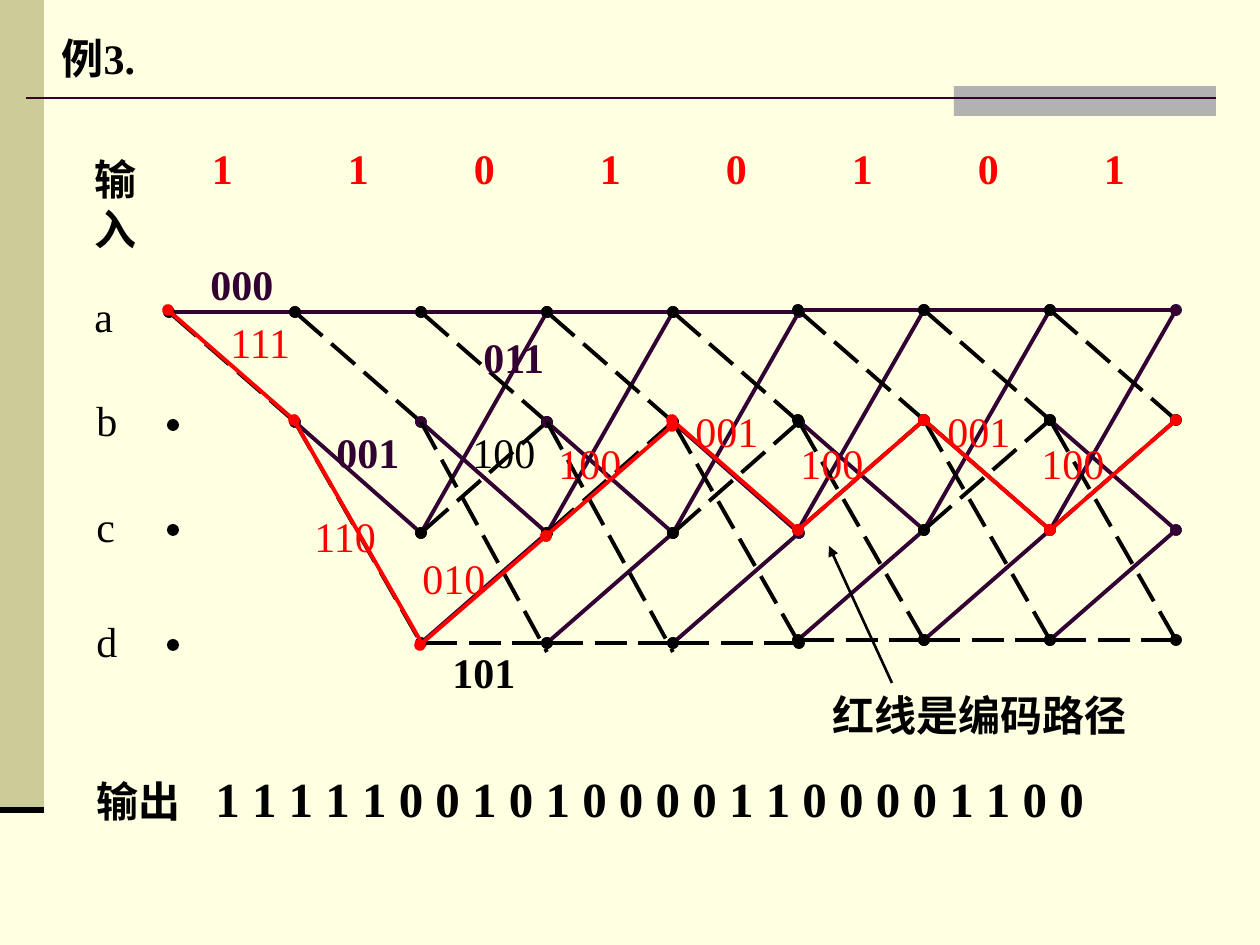
from dataclasses import dataclass

from lxml.etree import SubElement
from pptx import Presentation
from pptx.dml.color import RGBColor
from pptx.enum.dml import MSO_LINE
from pptx.enum.shapes import MSO_CONNECTOR, MSO_SHAPE
from pptx.enum.text import MSO_ANCHOR, PP_ALIGN
from pptx.oxml.ns import qn
from pptx.util import Emu, Pt

PX = 914400 / 126


@dataclass(frozen=True)
class Theme:
    font: str = "Times New Roman"
    body: int = 24
    output: int = 28
    paper: str = "FFFFE1"
    olive: str = "CCCC99"
    gray: str = "B2B2B2"
    plum: str = "330033"
    black: str = "000000"
    red: str = "FF0000"


THEME = Theme()

STEP = 126
LABEL_WIDTH, TEXT_HEIGHT = 88, 63
# First five steps sit slightly lower than the last three: (left, rows, steps)
SECTIONS = [
    (169, dict(a=312, b=422, c=533, d=643), range(5)),
    (168, dict(a=310, b=420, c=530, d=640), range(5, 8)),
]
ZERO_BRANCHES = ["aa", "bc", "ca", "dc"]
ONE_BRANCHES = ["ab", "bd", "cb", "dd"]
PATH_STATES = "abdcbcbcb"
SHIFTED_PATH_ENDS = {2: (645, 536), 3: (536, 426)}
UNDOTTED_BD_ENDS = {1: 643, 2: 652, 3: 652}

INPUT_BITS = "11010101"
OUTPUT_BITS = "111110010100001100001100"

STATE_LABELS = [("a", 82, 284), ("b", 84, 388), ("c", 84, 494), ("d", 84, 609)]
STATE_DOTS = [420, 525, 640]
PATH_LABELS = [
    ("111", 218, 310), ("110", 302, 504), ("010", 410, 546), ("100", 546, 431),
    ("001", 683, 399), ("100", 788, 431), ("100", 1029, 431), ("001", 935, 399),
]
BRANCH_LABELS = [
    ("000", 198, 252, THEME.plum, True),
    ("001", 324, 420, THEME.plum, True),
    ("011", 471, 325, THEME.plum, True),
    ("101", 440, 640, THEME.black, True),
    ("100", 460, 420, THEME.black, False),
]


def px(length):
    return Emu(round(length * PX))


def rgb(color):
    return RGBColor.from_string(color)


def format_text(paragraph, color, bold, size=THEME.body):
    font = paragraph.font
    font.name, font.size, font.bold = THEME.font, Pt(size), bold
    font.color.rgb = rgb(color)


def add_text(slide, text, x, y, width=LABEL_WIDTH, color=THEME.black, bold=False,
             size=THEME.body, height=TEXT_HEIGHT):
    box = slide.shapes.add_textbox(px(x), px(y), px(width), px(height))
    box.text_frame.word_wrap = False
    paragraph = box.text_frame.paragraphs[0]
    paragraph.text = text
    format_text(paragraph, color, bold, size)
    return paragraph


def add_tab_stops(paragraph, positions, align):
    """Replace the tab stops; paragraph font must be set afterwards."""
    tabs = SubElement(paragraph._p.get_or_add_pPr(), qn("a:tabLst"))
    for position in positions:
        SubElement(tabs, qn("a:tab"), pos=str(px(position)), algn=align)


def add_line(slide, start, end, color, width=2.25, dashed=False, head=None, tail=None):
    line = slide.shapes.add_connector(
        MSO_CONNECTOR.STRAIGHT, *map(px, (*start, *end)))
    line.line.color.rgb = rgb(color)
    line.line.width = Pt(width)
    if dashed:
        line.line.dash_style = MSO_LINE.LONG_DASH
    outline = line.line._get_or_add_ln()
    for tag, marker in (("a:headEnd", head), ("a:tailEnd", tail)):
        if marker:
            SubElement(outline, qn(tag), type=marker)
    SubElement(line._element.spPr, qn("a:effectLst"))


def add_solid(slide, kind, x, y, width, height, color):
    solid = slide.shapes.add_shape(kind, px(x), px(y), px(width), px(height))
    solid.shadow.inherit = False
    solid.fill.solid()
    solid.fill.fore_color.rgb = rgb(color)
    solid.line.fill.background()


def add_frame(slide):
    slide.background.fill.solid()
    slide.background.fill.fore_color.rgb = rgb(THEME.paper)
    add_solid(slide, MSO_SHAPE.RECTANGLE, 0, 0, 44, 810, THEME.olive)
    add_solid(slide, MSO_SHAPE.RECTANGLE, 954, 86, 262, 30, THEME.gray)
    add_line(slide, (26, 98), (1216, 98), THEME.plum, 1.5)
    add_line(slide, (44, 810), (0, 810), THEME.black, 3)


def set_title(slide, text):
    title = slide.shapes.title
    title.left, title.top, title.width, title.height = map(px, (49, 26, 900, TEXT_HEIGHT))
    title.text_frame.vertical_anchor = MSO_ANCHOR.TOP
    paragraph = title.text_frame.paragraphs[0]
    paragraph.text = text
    paragraph.alignment = PP_ALIGN.LEFT
    format_text(paragraph, THEME.black, True)


def add_trellis(slide):
    reached = {"a"}
    for left, rows, steps in SECTIONS:
        for step in steps:
            x = left + STEP * step
            for source, target in ZERO_BRANCHES + ONE_BRANCHES:
                if source not in reached:
                    continue
                is_one = source + target in ONE_BRANCHES
                undotted = source + target == "bd" and step in UNDOTTED_BD_ENDS
                end_y = UNDOTTED_BD_ENDS[step] if undotted else rows[target]
                dot = None if undotted else "oval"
                add_line(slide, (x, rows[source]), (x + STEP, end_y),
                         THEME.black if is_one else THEME.plum,
                         dashed=is_one, head=dot, tail=dot)
            reached = {target for source, target in ZERO_BRANCHES + ONE_BRANCHES
                       if source in reached}


def add_coding_path(slide):
    left, rows, _ = SECTIONS[1]
    for step, (source, target) in enumerate(zip(PATH_STATES, PATH_STATES[1:])):
        start_y, end_y = SHIFTED_PATH_ENDS.get(step, (rows[source], rows[target]))
        x = left + STEP * step
        dot = None if source + target == "bd" else "oval"
        add_line(slide, (x, start_y), (x + STEP, end_y), THEME.red, head=dot, tail=dot)


def add_input(slide):
    add_text(slide, "输入", 82, 147, 108, bold=True)
    bits = add_text(slide, "".join("\t" + bit for bit in INPUT_BITS), 169, 136, 990)
    stops = [41] + [51 + STEP * column for column in range(1, len(INPUT_BITS))]
    add_tab_stops(bits, stops, "ctr")
    format_text(bits, THEME.red, True)


def add_output(slide):
    line = add_text(slide, "输出", 84, 762, 1061, height=72)
    bits = line.add_run()
    bits.text = "\t" + " ".join(OUTPUT_BITS)
    bits.font.size = Pt(THEME.output)
    add_tab_stops(line, [119], "l")
    format_text(line, THEME.black, True)


def main():
    deck = Presentation()
    deck.slide_width, deck.slide_height = px(1260), px(945)
    slide = deck.slides.add_slide(deck.slide_layouts[5])
    add_frame(slide)
    set_title(slide, "例3.")
    add_trellis(slide)
    for y in STATE_DOTS:
        add_solid(slide, MSO_SHAPE.OVAL, 167, y - 1, 12, 12, THEME.black)
    add_input(slide)
    add_coding_path(slide)
    for text, x, y in PATH_LABELS:
        add_text(slide, text, x, y, color=THEME.red)
    for text, x, y in STATE_LABELS:
        add_text(slide, text, x, y, 45)
    for text, x, y, color, bold in BRANCH_LABELS:
        add_text(slide, text, x, y, color=color, bold=bold)
    add_output(slide)
    add_text(slide, "红线是编码路径", 820, 683, 319, bold=True)
    add_line(slide, (892, 683), (829, 546), THEME.black, 1.5, tail="triangle")
    deck.save("out.pptx")


if __name__ == "__main__":
    main()
